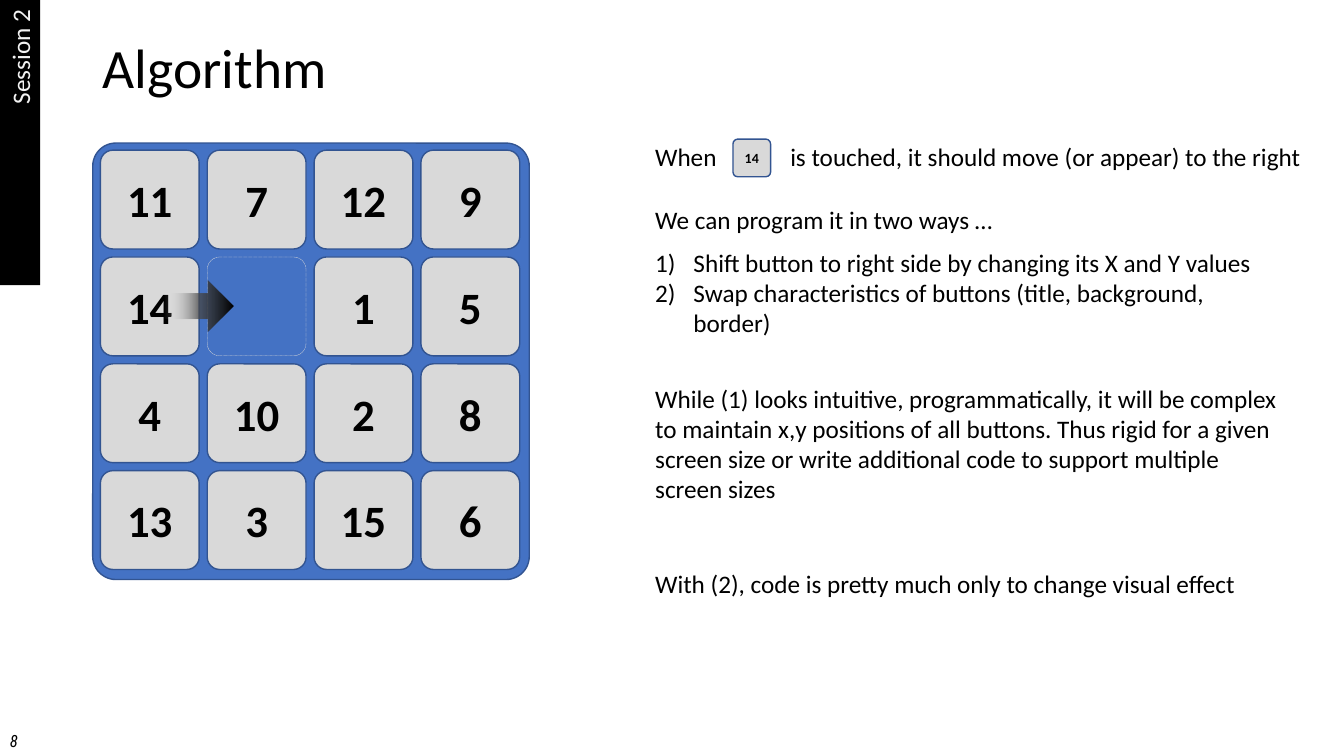
"""Build the sliding-puzzle algorithm slide."""
from dataclasses import dataclass

import lxml.etree
import pptx
import pptx.dml.color
import pptx.enum.dml
import pptx.enum.shapes
import pptx.enum.text
import pptx.oxml
import pptx.oxml.ns
import pptx.util

COLOURS = {
    "ink": "000000",
    "board": "4472C4",
    "tile": "D9D9D9",
    "edge": "325491",
    "session": "F2F2F2",
    "fade": "4A4A4A",
    "clear": "FFFFFF",
}
WIDTH = pptx.util.Inches(13.33)
HEIGHT = pptx.util.Inches(7.5)
FONT = "Calibri"
TILE_ROUNDING = 0.126
SHAPES = pptx.enum.shapes.MSO_SHAPE
ALIGN = pptx.enum.text.PP_ALIGN


@dataclass(frozen=True)
class Area:
    """Rectangle in percent of the slide's width and height."""
    left: float
    top: float
    width: float
    height: float

    def box(self) -> tuple[int, int, int, int]:
        """Return left, top, width and height in EMU."""
        return (round(WIDTH * self.left / 100), round(HEIGHT * self.top / 100),
                round(WIDTH * self.width / 100), round(HEIGHT * self.height / 100))


@dataclass(frozen=True)
class Style:
    """Look of a piece of text."""
    size: float = 18
    colour: str = "ink"
    bold: bool = False
    italic: bool = False
    font: str = FONT
    align: ALIGN = ALIGN.LEFT


@dataclass(frozen=True)
class Note:
    """Explanation beside the board."""
    top: float
    height: float
    lines: tuple[str, ...]
    width: float = 48.24
    numbered: bool = False
    tab: float = 0


BOARD = Area(6.9, 18.93, 32.48, 57.73)
FIRST_TILE = Area(7.47, 19.87, 7.35, 13.07)
PITCH_X, PITCH_Y = 7.95, 14.13
PUZZLE = (
    ("11", "7", "12", "9"),
    ("14", "", "1", "5"),
    ("4", "10", "2", "8"),
    ("13", "3", "15", "6"),
)
NOTES_LEFT = 48.01
NOTES = (
    Note(18, 5.33, ("When\tis touched, it should move (or appear) to the right",), 50.6, tab=1.34),
    Note(26.4, 5.33, ("We can program it in two ways …",)),
    Note(32, 13.47, ("Shift button to right side by changing its X and Y values",
                     "Swap characteristics of buttons (title, background, border)"), numbered=True),
    Note(50, 17.47, ("While (1) looks intuitive, programmatically, it will be complex to maintain x,y "
                     "positions of all buttons. Thus rigid for a given screen size or write additional "
                     "code to support multiple screen sizes",)),
    Note(74.53, 5.33, ("With (2), code is pretty much only to change visual effect",)),
)


def rgb(name: str) -> pptx.dml.color.RGBColor:
    """Look up a named colour."""
    return pptx.dml.color.RGBColor.from_string(COLOURS[name])


def write(frame, text: str, style: Style) -> None:
    """Fill a text frame and format its runs."""
    frame.text = text
    for paragraph in frame.paragraphs:
        paragraph.alignment = style.align
        for run in paragraph.runs:
            run.font.name = style.font
            run.font.size = pptx.util.Pt(style.size)
            run.font.bold = style.bold
            run.font.italic = style.italic
            run.font.color.rgb = rgb(style.colour)


def draw_shape(slide, kind: SHAPES, area: Area, fill: str = "", edge: str = "",
               weight: float = 1, rounding: float = 0):
    """Draw a preset shape without a shadow."""
    shape = slide.shapes.add_shape(kind, *area.box())
    shape.shadow.inherit = False
    if fill:
        shape.fill.solid()
        shape.fill.fore_color.rgb = rgb(fill)
    else:
        shape.fill.background()
    if edge:
        shape.line.color.rgb = rgb(edge)
        shape.line.width = pptx.util.Pt(weight)
    else:
        shape.line.fill.background()
    if rounding:
        shape.adjustments[0] = rounding
    return shape


def draw_tile(slide, area: Area, number: str, size: float) -> None:
    """Draw one numbered puzzle button."""
    tile = draw_shape(slide, SHAPES.ROUNDED_RECTANGLE, area, "tile", "edge", rounding=TILE_ROUNDING)
    frame = tile.text_frame
    frame.margin_left = frame.margin_right = frame.margin_top = frame.margin_bottom = 0
    frame.vertical_anchor = pptx.enum.text.MSO_ANCHOR.MIDDLE
    write(frame, number, Style(size, bold=True, align=ALIGN.CENTER))


def draw_board(slide) -> None:
    """Draw the puzzle board with its tiles and the empty slot."""
    draw_shape(slide, SHAPES.ROUNDED_RECTANGLE, BOARD, "board", "edge", rounding=0.053)
    for row, numbers in enumerate(PUZZLE):
        for column, number in enumerate(numbers):
            area = Area(FIRST_TILE.left + column * PITCH_X, FIRST_TILE.top + row * PITCH_Y,
                        FIRST_TILE.width, FIRST_TILE.height)
            if number:
                draw_tile(slide, area, number, 32)
            else:
                slot = draw_shape(slide, SHAPES.ROUNDED_RECTANGLE, area, edge="tile",
                                  weight=0.25, rounding=TILE_ROUNDING)
                slot.line.dash_style = pptx.enum.dml.MSO_LINE.SQUARE_DOT
                slot.line.dash_style = pptx.enum.dml.MSO_LINE.ROUND_DOT


def draw_move(slide) -> None:
    """Draw the fading arrow that moves a tile into the slot."""
    move = draw_shape(slide, SHAPES.RIGHT_ARROW, Area(12.23, 37.07, 5.1, 6.8))
    stops = "".join(
        f'<a:gs pos="{place * 1000}"><a:srgbClr val="{COLOURS[name]}">'
        f'<a:alpha val="{opacity * 1000}"/></a:srgbClr></a:gs>'
        for place, name, opacity in ((0, "ink", 100), (50, "fade", 75), (100, "clear", 0)))
    fade = pptx.oxml.parse_xml(
        f'<a:gradFill {pptx.oxml.ns.nsdecls("a")} rotWithShape="1"><a:gsLst>{stops}</a:gsLst>'
        '<a:lin ang="10800000" scaled="0"/></a:gradFill>')
    properties = move._element.spPr
    properties.replace(properties.find(pptx.oxml.ns.qn("a:noFill")), fade)


def draw_text(slide, area: Area, text: str, style: Style):
    """Add a wrapping text box and return its frame."""
    frame = slide.shapes.add_textbox(*area.box()).text_frame
    frame.word_wrap = True
    write(frame, text, style)
    return frame


def draw_note(slide, note: Note) -> None:
    """Add one explanation, numbered or tabbed where asked."""
    frame = draw_text(slide, Area(NOTES_LEFT, note.top, note.width, note.height),
                      "\n".join(note.lines), Style())
    for paragraph in frame.paragraphs:
        properties = paragraph._p.get_or_add_pPr()
        if note.numbered:
            indent = pptx.util.Inches(0.38)
            properties.set("marL", str(indent))
            properties.set("indent", str(-indent))
            lxml.etree.SubElement(properties, pptx.oxml.ns.qn("a:buAutoNum"), type="arabicParenR")
        if note.tab:
            stops = lxml.etree.SubElement(properties, pptx.oxml.ns.qn("a:tabLst"))
            lxml.etree.SubElement(stops, pptx.oxml.ns.qn("a:tab"),
                                  pos=str(pptx.util.Inches(note.tab)), algn="l")


def main() -> None:
    """Assemble and save the slide."""
    deck = pptx.Presentation()
    deck.slide_width, deck.slide_height = WIDTH, HEIGHT
    slide = deck.slides.add_slide(deck.slide_layouts[5])
    title = slide.shapes.title
    title.left, title.top, title.width, title.height = Area(6.9, 5.33, 86.27, 8).box()
    write(title.text_frame, "Algorithm", Style(39.6))
    title.text_frame.auto_size = pptx.enum.text.MSO_AUTO_SIZE.NONE
    title.text_frame.vertical_anchor = pptx.enum.text.MSO_ANCHOR.MIDDLE
    title.text_frame.paragraphs[0].line_spacing = 0.9
    draw_board(slide)
    draw_move(slide)
    for note in NOTES:
        draw_note(slide, note)
    draw_tile(slide, Area(54.54, 18.4, 2.8, 4.98), "14", 10)
    session = draw_shape(slide, SHAPES.RECTANGLE, Area(-9.12, 16.18, 21.23, 5.33), "ink")
    session.rotation = 270
    write(session.text_frame, "Session 2", Style(colour="session", align=ALIGN.RIGHT))
    draw_text(slide, Area(0, 96, 2.48, 4), "8", Style(12, italic=True, font="Roboto Condensed"))
    deck.save("out.pptx")


if __name__ == "__main__":
    main()
